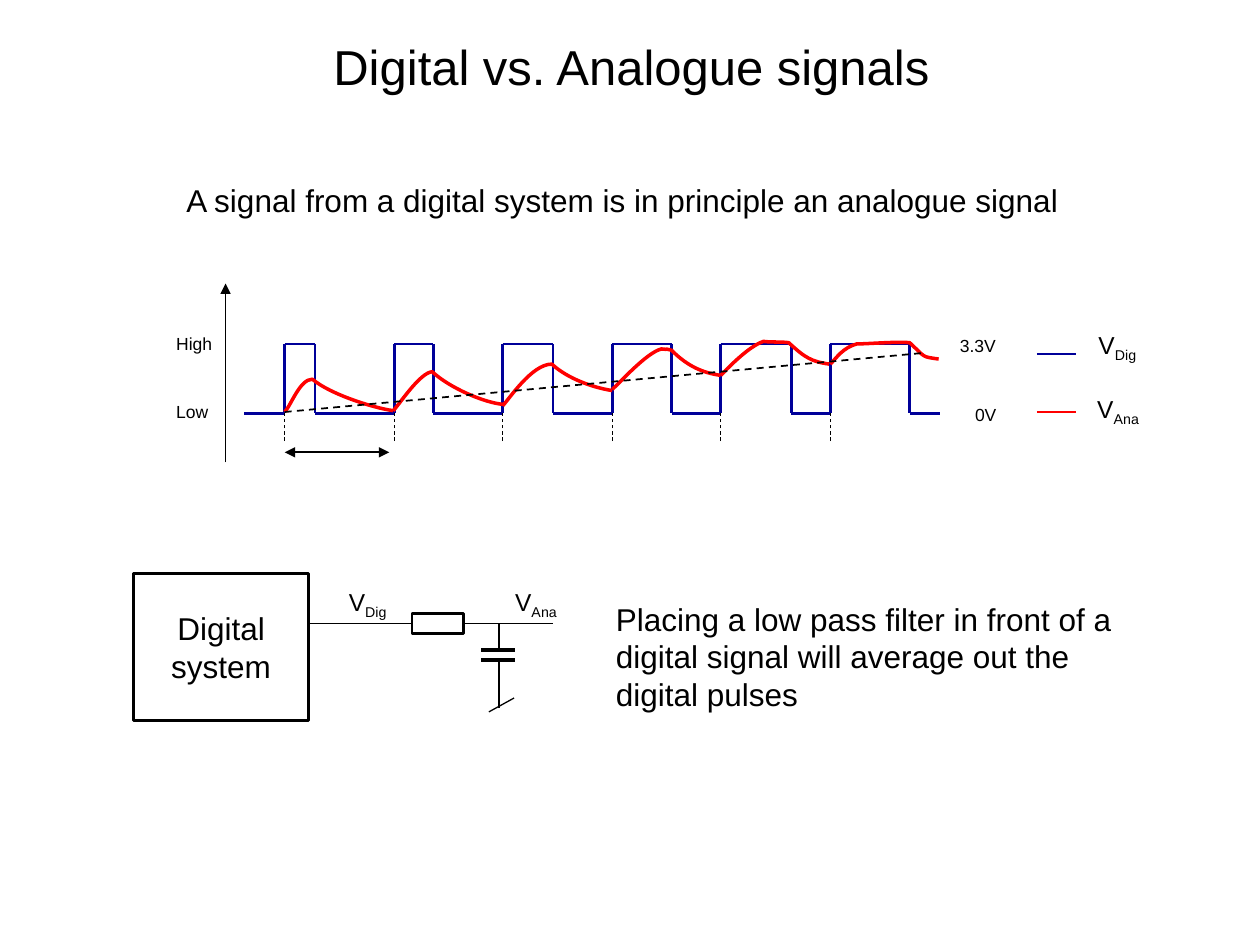
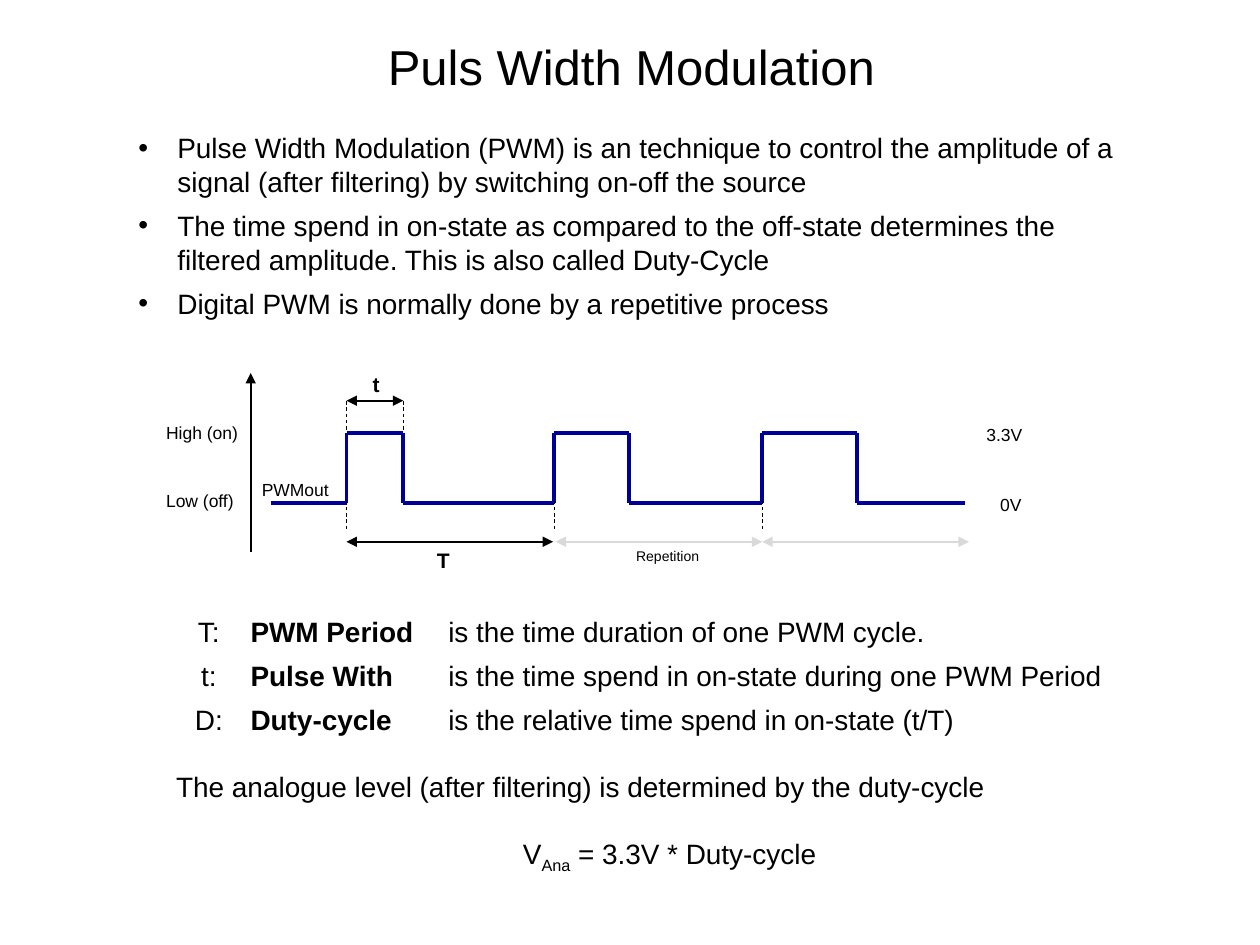
"""Build two slides on digital pulses, analogue levels and pulse width."""
from pptx import Presentation
from pptx import util as u
from pptx.dml import color as dc
from pptx.enum import dml, shapes, text
from pptx.oxml import ns, xmlchemy as xc

BLACK, WHITE, BLUE, RED, GREY = "000000", "FFFFFF", "000099", "FF0000", "D9D9D9"
FONT = "Arial"
DIG = [[("V", ""), ("Dig", "sub")]]
ANA = [[("V", ""), ("Ana", "sub")]]


def ink(code):
    """Turn a hex string into a colour."""
    return dc.RGBColor.from_string(code)


def inch(*vals):
    """Turn numbers into lengths."""
    return [u.Inches(v) for v in vals]


def node(tag, **attrs):
    """Make a drawing element with attributes."""
    item = xc.OxmlElement(tag)
    for key, val in attrs.items():
        item.set(key, str(val))
    return item


class Deck:
    """Hold the shared style and the current slide."""

    def __init__(self):
        """Start an empty file."""
        self.file = Presentation()
        self.file.slide_width, self.file.slide_height = inch(10, 7.5)
        self.page = None

    def slide(self, title):
        """Add a slide with a centred title."""
        self.page = self.file.slides.add_slide(self.file.slide_layouts[5]).shapes
        head = self.page.title
        head.left, head.top, head.width, head.height = inch(0.51, 0.21, 9, 0.63)
        frame = head.text_frame
        frame.vertical_anchor = text.MSO_ANCHOR.MIDDLE
        self.fill(frame, [title], 28)
        frame.paragraphs[0].alignment = text.PP_ALIGN.CENTER

    def fill(self, frame, paras, size, bold=False):
        """Write paragraphs, each a string or a list of (words, style) runs."""
        for i, para in enumerate(paras):
            line = frame.paragraphs[0] if i == 0 else frame.add_paragraph()
            runs = [(para, "")] if isinstance(para, str) else para
            for words, style in runs:
                run = line.add_run()
                run.text = words
                font = run.font
                font.name, font.size = FONT, u.Pt(size)
                font.bold = bold or style == "bold"
                font.color.rgb = ink(BLACK)
                if style == "sub":
                    run._r.get_or_add_rPr().set("baseline", "-25000")

    def text(self, x, y, w, h, paras, size, wrap=False, bold=False):
        """Add a text box and return its paragraphs."""
        frame = self.page.add_textbox(*inch(x, y, w, h)).text_frame
        frame.word_wrap = wrap
        frame.auto_size = text.MSO_AUTO_SIZE.SHAPE_TO_FIT_TEXT
        self.fill(frame, paras, size, bold)
        return frame.paragraphs

    def labels(self, items):
        """Add small axis labels."""
        for words, x, y, w in items:
            self.text(x, y, w, 0.27, [words], 10)

    def line(self, x1, y1, x2, y2, code=BLACK, width=1, dash=False, ends=()):
        """Draw a straight line with optional arrowheads."""
        item = self.page.add_connector(shapes.MSO_CONNECTOR.STRAIGHT, *inch(x1, y1, x2, y2))
        item.line.color.rgb = ink(code)
        item.line.width = u.Pt(width)
        if dash:
            item.line.dash_style = dml.MSO_LINE.DASH
        for end in ends:
            item.line._get_or_add_ln().append(node("a:" + end, type="triangle"))
        item.element.spPr.append(node("a:effectLst"))

    def span(self, x1, x2, y, code=BLACK):
        """Draw a level arrow with two heads."""
        self.line(x1, y, x2, y, code, ends=("headEnd", "tailEnd"))

    def ticks(self, spots, low, high):
        """Draw thin dashed marks."""
        for x in spots:
            self.line(x, low, x, high, width=0.5, dash=True)

    def wave(self, start, pulses, end, top, base, width):
        """Draw a square wave from (rise, fall) pairs."""
        last = start
        for rise, fall in pulses:
            for ends in ((last, base, rise, base), (rise, base, rise, top),
                         (rise, top, fall, top), (fall, top, fall, base)):
                self.line(*ends, BLUE, width)
            last = fall
        self.line(last, base, end, base, BLUE, width)

    def curve(self, *spots):
        """Draw a red curve through a start and triples of Bezier points."""
        pts = [inch(*spot) for spot in spots]
        pen = self.page.build_freeform(*pts[0], scale=1.0)
        pen.add_line_segments(pts[1:], close=False)
        item = pen.convert_to_shape()
        steps = list(item.element.iter(ns.qn("a:lnTo")))
        for i in range(0, len(steps), 3):
            bend = node("a:cubicBezTo")
            steps[i].addprevious(bend)
            for step in steps[i:i + 3]:
                bend.append(step[0])
                step.getparent().remove(step)
        item.fill.background()
        item.line.color.rgb = ink(RED)
        item.line.width = u.Pt(2)
        item.shadow.inherit = False

    def box(self, x, y, w, h, width=0, words=""):
        """Add a white box, outlined when a width is given."""
        item = self.page.add_shape(shapes.MSO_SHAPE.RECTANGLE, *inch(x, y, w, h))
        item.shadow.inherit = False
        item.fill.solid()
        item.fill.fore_color.rgb = ink(WHITE)
        if width:
            item.line.color.rgb = ink(BLACK)
            item.line.width = u.Pt(width)
        else:
            item.line.fill.background()
        if words:
            frame = item.text_frame
            frame.vertical_anchor = text.MSO_ANCHOR.MIDDLE
            self.fill(frame, [words], 18)
            frame.paragraphs[0].alignment = text.PP_ALIGN.CENTER


def signals(deck):
    """Build the slide on digital and analogue signals."""
    deck.slide("Digital vs. Analogue signals")
    rises = [2.26, 3.13, 3.99, 4.86, 5.72, 6.59]
    falls = [2.5, 3.44, 4.39, 5.33, 6.28, 7.22]
    deck.wave(1.94, zip(rises, falls), 7.46, 2.73, 3.28, 1.5)
    deck.line(1.79, 3.67, 1.79, 2.25, ends=("tailEnd",))
    deck.ticks(rises, 3.5, 3.28)
    deck.span(2.26, 3.09, 3.59)

    deck.curve((2.26, 3.27), (2.31, 3.22), (2.38, 3.01), (2.48, 3.01),
               (2.62, 3.13), (2.97, 3.24), (3.12, 3.26))
    deck.curve((3.12, 3.26), (3.17, 3.21), (3.33, 2.96), (3.43, 2.95),
               (3.57, 3.08), (3.85, 3.2), (4, 3.21))
    deck.curve((3.99, 3.22), (4.04, 3.17), (4.22, 2.89), (4.38, 2.89),
               (4.51, 3.01), (4.72, 3.08), (4.86, 3.1))
    deck.curve((4.86, 3.09), (4.91, 3.05), (5.13, 2.8), (5.25, 2.77),
               (5.34, 2.78), (5.24, 2.76), (5.33, 2.78),
               (5.46, 2.91), (5.58, 2.96), (5.72, 2.98))
    deck.curve((5.72, 2.98), (5.77, 2.93), (5.94, 2.75), (6.06, 2.71),
               (6.15, 2.72), (6.16, 2.71), (6.26, 2.72),
               (6.39, 2.84), (6.44, 2.87), (6.58, 2.89))
    deck.curve((6.59, 2.89), (6.64, 2.84), (6.69, 2.76), (6.8, 2.73),
               (6.89, 2.73), (7.11, 2.71), (7.22, 2.72),
               (7.35, 2.84), (7.31, 2.83), (7.45, 2.85))
    deck.line(2.26, 3.27, 7.34, 2.8, dash=True)

    deck.labels([("High", 1.3, 2.59, 0.49), ("Low", 1.3, 3.13, 0.46),
                 ("3.3V", 7.52, 2.61, 0.49), ("0V", 7.64, 3.16, 0.37)])
    deck.text(1.38, 1.39, 7.19, 0.4,
              ["A signal from a digital system is in principle an analogue signal"], 18)
    deck.text(4.79, 4.71, 4.22, 1.01,
              ["Placing a low pass filter in front of a digital signal "
               "will average out the digital pulses"], 18, wrap=True)

    deck.box(1.06, 4.55, 1.39, 1.17, 1.5, "Digital system")
    deck.line(2.45, 4.95, 4.39, 4.95, width=0.75)
    deck.line(3.96, 4.95, 3.96, 5.62, width=0.75)
    deck.box(3.89, 5.16, 0.2, 0.08)
    for y in (5.16, 5.24):
        deck.line(3.82, y, 4.09, y, width=2.25)
    deck.line(4.08, 5.54, 3.88, 5.65, width=0.75)
    deck.box(3.27, 4.87, 0.41, 0.16, 1.5)

    for name, x, y in ((DIG, 2.67, 4.61), (DIG, 8.62, 2.57),
                       (ANA, 3.99, 4.61), (ANA, 8.61, 3.08)):
        deck.text(x, y, 0.54, 0.34, name, 14)
    for y, code in ((2.81, BLUE), (3.27, RED)):
        deck.line(8.23, y, 8.54, y, code, 1.5)


def pulses(deck):
    """Build the slide on pulse width modulation."""
    deck.slide("Puls Width Modulation")
    points = deck.text(1, 0.99, 7.94, 1.62, [
        "Pulse Width Modulation (PWM) is an technique to control the amplitude "
        "of a signal (after filtering) by switching on-off the source",
        "The time spend in on-state as compared to the off-state determines "
        "the filtered amplitude. This is also called Duty-Cycle",
        "Digital PWM is normally done by a repetitive process"], 16, wrap=True)
    for para in points:
        para.space_before = u.Pt(6)
        props = para._p.get_or_add_pPr()
        props.set("marL", str(u.Inches(0.31)))
        props.set("indent", str(u.Inches(-0.31)))
        props.append(node("a:buFont", typeface=FONT))
        props.append(node("a:buChar", char="\u2022"))

    rises, falls = [2.75, 4.4, 6.05], [3.2, 4.99, 6.8]
    deck.line(1.99, 4.38, 1.99, 2.96, ends=("tailEnd",))
    deck.wave(2.15, zip(rises, falls), 7.66, 3.44, 3.99, 2.25)
    deck.ticks(rises, 4.2, 3.98)
    deck.ticks([2.75, 3.2], 3.41, 3.18)
    deck.span(2.75, 3.2, 3.18)
    deck.span(2.75, 4.39, 4.3)
    deck.span(4.41, 6.05, 4.3, GREY)
    deck.span(6.05, 7.69, 4.3, GREY)

    deck.labels([("High (on)", 1.22, 3.3, 0.78), ("Low (off)", 1.22, 3.84, 0.75),
                 ("3.3V", 7.73, 3.32, 0.49), ("0V", 7.84, 3.87, 0.37),
                 ("PWMout", 1.98, 3.75, 0.74)])
    deck.text(3.37, 4.3, 0.4, 0.3, ["T"], 12, wrap=True, bold=True)
    deck.text(2.86, 2.9, 0.4, 0.3, ["t"], 12, wrap=True, bold=True)
    deck.text(4.95, 4.3, 2.16, 0.24, ["Repetition"], 8, wrap=True)

    terms = [("T", "PWM Period", "is the time duration of one PWM cycle."),
             ("t", "Pulse With", "is the time spend in on-state during one PWM Period"),
             ("D", "Duty-cycle", "is the relative time spend in on-state (t/T)")]
    rows = [[(f"\t{sign}: \t", ""), (name, "bold"), (f"\t{what}", "")]
            for sign, name, what in terms]
    rows.append("The analogue level (after filtering) is determined by the duty-cycle")
    rows.append(ANA[0] + [(" = 3.3V * Duty-cycle", "")])
    paras = deck.text(1.3, 4.83, 8.03, 2.15, rows, 16, wrap=True)
    for para in paras[:3]:
        para.space_before = u.Pt(6)
        tabs = node("a:tabLst")
        for spot, side in ((0.29, "ctr"), (0.59, "l"), (2.16, "l")):
            tabs.append(node("a:tab", pos=u.Inches(spot), algn=side))
        para._p.get_or_add_pPr().append(tabs)
    for para in paras[3:]:
        para.space_before = u.Pt(19)
    paras[4].alignment = text.PP_ALIGN.CENTER


deck = Deck()
signals(deck)
pulses(deck)
deck.file.save("out.pptx")
